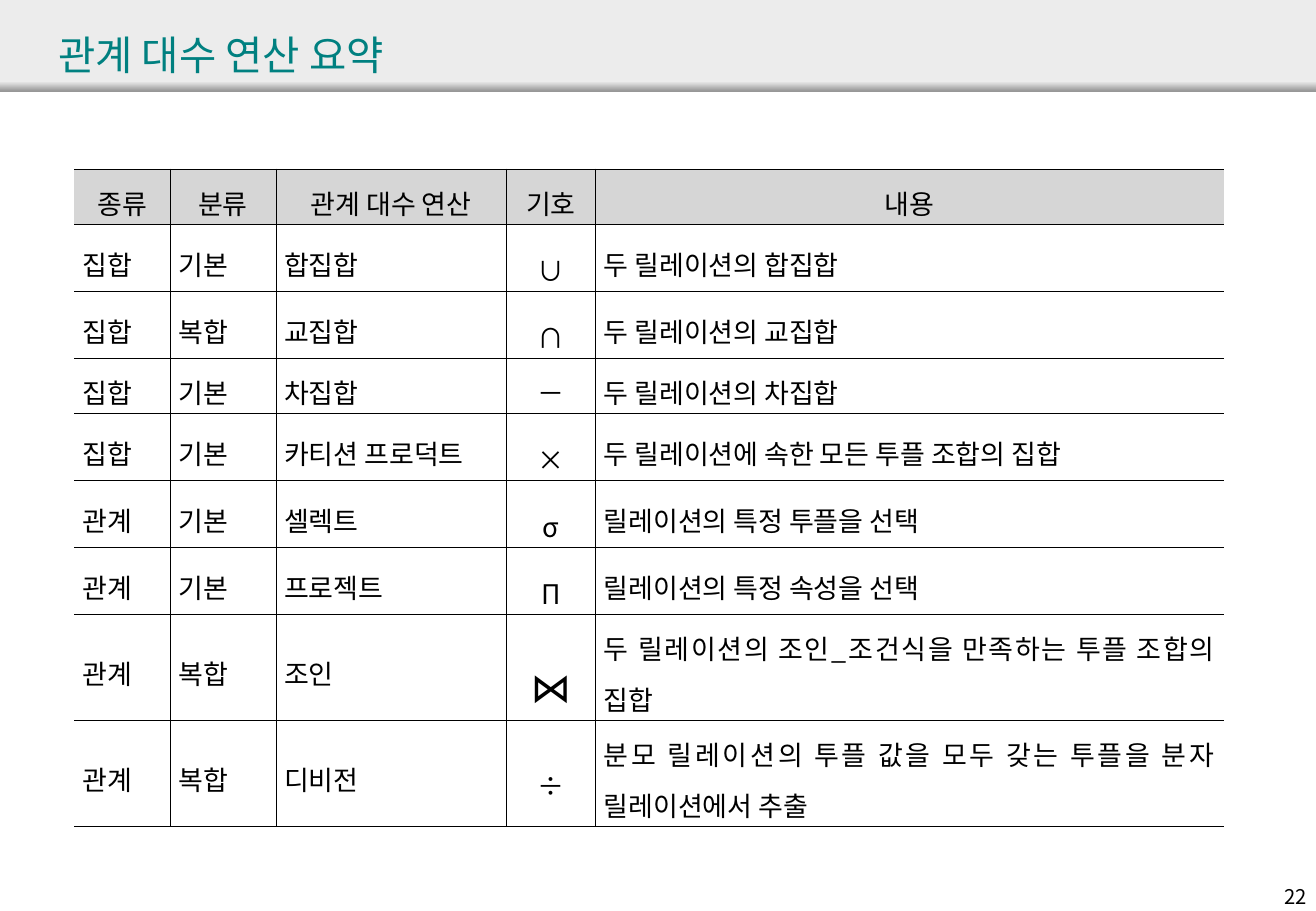
from lxml import etree
from pptx import Presentation
from pptx.dml.color import RGBColor
from pptx.enum.shapes import MSO_SHAPE
from pptx.enum.text import MSO_ANCHOR, MSO_AUTO_SIZE, PP_ALIGN
from pptx.oxml.ns import qn
from pptx.util import Inches, Pt

RECT = MSO_SHAPE.RECTANGLE
MIDDLE = MSO_ANCHOR.MIDDLE
FIXED = MSO_AUTO_SIZE.NONE
LEFT, RIGHT = PP_ALIGN.LEFT, PP_ALIGN.RIGHT
CENTER, JUSTIFY = PP_ALIGN.CENTER, PP_ALIGN.JUSTIFY

FONT = "Noto Sans CJK KR"
TEAL, BLACK = "008080", "000000"
PALE, GREY, HEAD = "ECECEC", "979797", "D6D6D6"

COLS = [0.79, 0.87, 1.9, 0.73, 5.17]
HEIGHTS = [0.2, 0.22, 0.22, 0.2, 0.22, 0.22, 0.22, 0.22, 0.37]
SIGN = 3
ROWS = [
    ["종류", "분류", "관계 대수 연산", "기호", "내용"],
    ["집합", "기본", "합집합", "∪", "두 릴레이션의 합집합"],
    ["집합", "복합", "교집합", "∩", "두 릴레이션의 교집합"],
    ["집합", "기본", "차집합", "－", "두 릴레이션의 차집합"],
    ["집합", "기본", "카티션 프로덕트", "×", "두 릴레이션에 속한 모든 투플 조합의 집합"],
    ["관계", "기본", "셀렉트", "σ", "릴레이션의 특정 투플을 선택"],
    ["관계", "기본", "프로젝트", "Π", "릴레이션의 특정 속성을 선택"],
    ["관계", "복합", "조인", "⋈", "두 릴레이션의 조인_조건식을 만족하는 투플 조합의 집합"],
    ["관계", "복합", "디비전", "÷", "분모 릴레이션의 투플 값을 모두 갖는 투플을 분자 릴레이션에서 추출"],
]


def paint(color, code):
    color.rgb = RGBColor.from_string(code)


def write(frame, text, size=16, color=BLACK, align=LEFT, space=None):
    frame.word_wrap = True
    para = frame.paragraphs[0]
    para.alignment = align
    if space:
        para.line_spacing = space
    run = para.add_run()
    run.text = text
    font = run.font
    font.name, font.size, font.bold = FONT, Pt(size), False
    paint(font.color, color)
    etree.SubElement(run._r.get_or_add_rPr(), qn("a:ea"), typeface=FONT)


def edge(cell, side, shown):
    props = cell._tc.get_or_add_tcPr()
    line = etree.SubElement(props, qn("a:ln" + side), w=str(Pt(0.28)))
    if shown:
        fill = etree.SubElement(line, qn("a:solidFill"))
        etree.SubElement(fill, qn("a:srgbClr"), val=BLACK)
    else:
        etree.SubElement(line, qn("a:noFill"))


class Page:
    def __init__(self, deck):
        self.slide = deck.slides.add_slide(deck.slide_layouts[5])
        self.shapes = self.slide.shapes

    def band(self, top, height, start, end=None):
        shape = self.shapes.add_shape(
            RECT, 0, Inches(top), Inches(10.83), Inches(height))
        shape.shadow.inherit = False
        shape.line.fill.background()
        if end:
            shape.fill.gradient()
            shape.fill.gradient_angle = 270
            for stop, code in zip(shape.fill.gradient_stops, (start, end)):
                paint(stop.color, code)
        else:
            shape.fill.solid()
            paint(shape.fill.fore_color, start)

    def title(self, text):
        shape = self.shapes.title
        shape.left, shape.top = Inches(0.38), Inches(0.13)
        shape.width, shape.height = Inches(9.92), Inches(0.63)
        frame = shape.text_frame
        frame.auto_size = FIXED
        frame.vertical_anchor = MIDDLE
        write(frame, text, size=24, color=TEAL)
        self.shapes._spTree.append(shape._element)

    def number(self, text):
        box = self.shapes.add_textbox(
            Inches(10.3), Inches(7.23), Inches(0.55), Inches(0.3))
        write(box.text_frame, text, size=12, align=RIGHT)

    def table(self, rows):
        frame = self.shapes.add_table(
            len(rows), len(COLS), Inches(0.61), Inches(1.39),
            Inches(9.45), Inches(4.03))
        grid = frame.table
        grid.first_row = grid.horz_banding = False
        for col, width in zip(grid.columns, COLS):
            col.width = Inches(width)
        for row, height in zip(grid.rows, HEIGHTS):
            row.height = Inches(height)
        frame.height = Inches(4.03)
        for r, words in enumerate(rows):
            for c, text in enumerate(words):
                self.cell(grid.cell(r, c), text, r == 0, c)

    def cell(self, cell, text, head, col):
        sign = col == SIGN and not head
        cell.vertical_anchor = MIDDLE
        cell.margin_left = cell.margin_right = Inches(0.07)
        cell.margin_top = cell.margin_bottom = Inches(0.02)
        edge(cell, "L", col > 0)
        edge(cell, "R", col < len(COLS) - 1)
        edge(cell, "T", True)
        edge(cell, "B", True)
        if head:
            cell.fill.solid()
            paint(cell.fill.fore_color, HEAD)
        else:
            cell.fill.background()
        write(cell.text_frame, text,
              size=24 if text == "⋈" else 16,
              align=CENTER if head or sign else JUSTIFY,
              space=1.6 if sign and text != "－" else 1.3)


def main():
    deck = Presentation()
    deck.slide_width, deck.slide_height = Inches(10.83), Inches(7.5)
    page = Page(deck)
    page.band(0, 0.75, PALE)
    page.band(0.67, 0.08, PALE, GREY)
    page.number("22")
    page.title("관계 대수 연산 요약")
    page.table(ROWS)
    deck.save("out.pptx")


if __name__ == "__main__":
    main()
